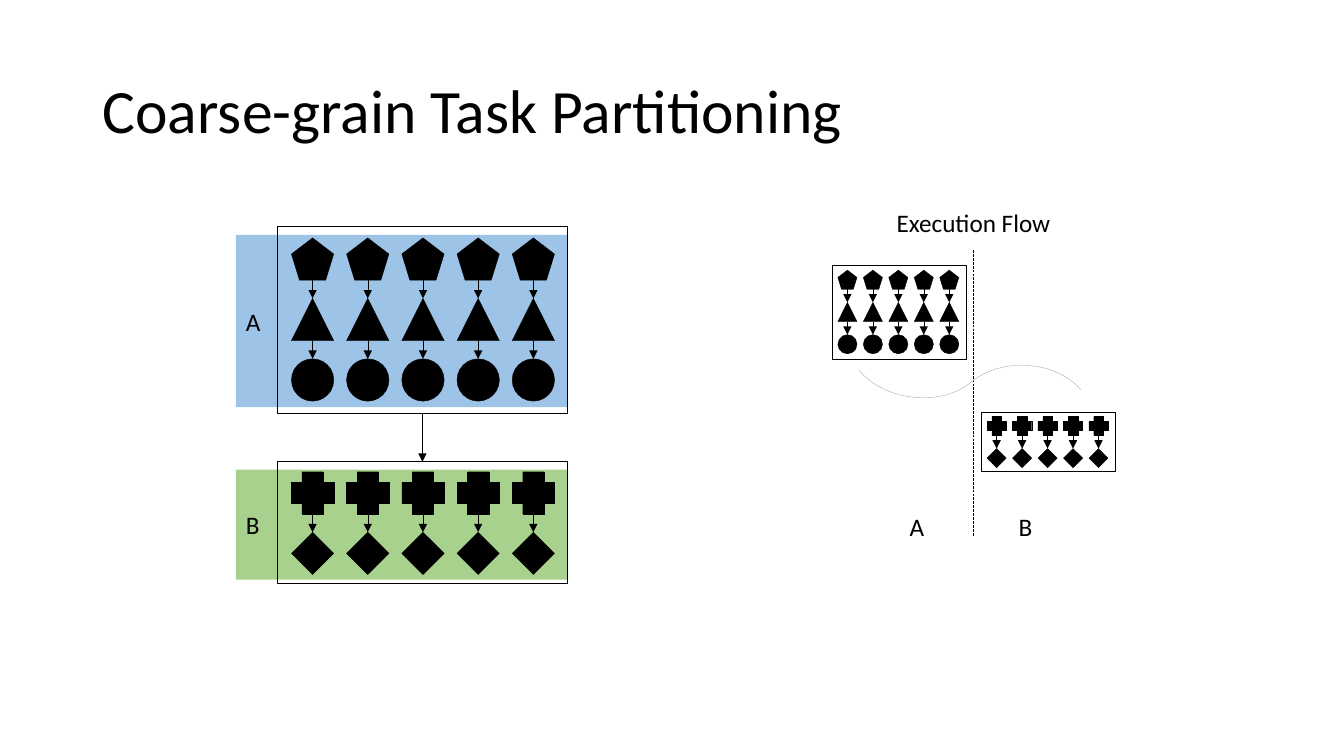
from lxml import etree
from pptx import Presentation
from pptx.dml.color import RGBColor
from pptx.enum.dml import MSO_LINE
from pptx.enum.shapes import MSO_CONNECTOR, MSO_SHAPE
from pptx.enum.text import MSO_ANCHOR, PP_ALIGN
from pptx.oxml.ns import qn
from pptx.util import Pt

PX = 9144
BLACK = RGBColor(0x00, 0x00, 0x00)
GRAY = RGBColor(0xA6, 0xA6, 0xA6)
BLUE = RGBColor(0x9D, 0xC3, 0xE6)
GREEN = RGBColor(0xA9, 0xD1, 0x8E)
LEFT, CENTER = PP_ALIGN.LEFT, PP_ALIGN.CENTER
TOP, MIDDLE = MSO_ANCHOR.TOP, MSO_ANCHOR.MIDDLE
STRAIGHT, CURVE = MSO_CONNECTOR.STRAIGHT, MSO_CONNECTOR.CURVE
LONG_DASH = MSO_LINE.LONG_DASH
RECT = MSO_SHAPE.RECTANGLE
TASK_A = [MSO_SHAPE.REGULAR_PENTAGON, MSO_SHAPE.ISOSCELES_TRIANGLE, MSO_SHAPE.OVAL]
TASK_B = [MSO_SHAPE.CROSS, MSO_SHAPE.DIAMOND]
COLUMNS = 5
HAIRLINE = Pt(0.25)

prs = Presentation()
prs.slide_width, prs.slide_height = 1333 * PX, 750 * PX
slide = prs.slides.add_slide(prs.slide_layouts[6])
shapes = slide.shapes


def add_line(x1, y1, x2, y2, kind=STRAIGHT, color=BLACK, arrow=True):
    line = shapes.add_connector(kind, *[round(v * PX) for v in (x1, y1, x2, y2)])
    line.line.color.rgb = color
    line.line.width = HAIRLINE
    if arrow:
        etree.SubElement(line.line._get_or_add_ln(), qn("a:tailEnd"), type="triangle")
    etree.SubElement(line._element.spPr, qn("a:effectLst"))
    return line


def write(shape, text, size, align, anchor, wrap):
    frame = shape.text_frame
    frame.word_wrap = wrap
    frame.vertical_anchor = anchor
    paragraph = frame.paragraphs[0]
    paragraph.alignment = align
    paragraph.line_spacing = 0.9 if size == 44 else 1.0
    run = paragraph.add_run()
    run.text = text
    run.font.name = "Calibri"
    run.font.size = Pt(size)
    run.font.color.rgb = BLACK


divider = add_line(965, 248, 965, 532, arrow=False)
divider.line.dash_style = LONG_DASH

flow = add_line(884, 455, 1040, 299, CURVE, GRAY, arrow=False)
flow._element.spPr.find(qn("a:xfrm")).set("rot", str(50 * 60000))
bend = flow._element.spPr.find(qn("a:prstGeom")).get_or_add_avLst()
etree.SubElement(bend, qn("a:gd"), name="adj1", fmla="val 51600")

for text, box, size, align, anchor, wrap in [
    ("Coarse-grain Task Partitioning", (92, 40, 1150, 145), 44, LEFT, MIDDLE, True),
    ("Execution Flow", (875, 201, 181, 40), 18, CENTER, TOP, False),
    ("A", (892, 502, 35, 40), 18, CENTER, TOP, False),
    ("B", (1000, 502, 34, 40), 18, CENTER, TOP, False),
]:
    label = shapes.add_textbox(*[v * PX for v in box])
    write(label, text, size, align, anchor, wrap)

for text, top, height, color in [("A", 233, 171, BLUE), ("B", 466, 109, GREEN)]:
    band = shapes.add_shape(RECT, 234 * PX, top * PX, 329 * PX, height * PX)
    band.shadow.inherit = False
    band.fill.solid()
    band.fill.fore_color.rgb = color
    band.line.fill.background()
    write(band, text, 18, LEFT, MIDDLE, True)

for task, first, last, top, side, step, border in [
    (TASK_A, 831, 932, 268, 19, 32, (825, 263, 133, 93)),
    (TASK_B, 979, 1080, 413, 19, 32, (973, 409, 133, 58)),
    (TASK_A, 289, 508, 236, 42, 60, (275, 224, 288, 186)),
    (TASK_B, 289, 508, 468, 42, 60, (275, 458, 288, 121)),
]:
    parts = [(RECT, border)]
    for column in range(COLUMNS):
        x = first + (last - first) * column / (COLUMNS - 1)
        for row, symbol in enumerate(task):
            y = top + row * step
            parts.append((symbol, (x, y, side, side)))
            if row:
                add_line(x + side / 2, y - step + side, x + side / 2, y)
    for kind, box in parts:
        part = shapes.add_shape(kind, *[round(v * PX) for v in box])
        part.shadow.inherit = False
        part.line.color.rgb = BLACK
        part.line.width = HAIRLINE
        if kind == RECT:
            part.fill.background()
        else:
            part.fill.solid()
            part.fill.fore_color.rgb = BLACK

add_line(419, 410, 419, 458)

prs.save("out.pptx")
